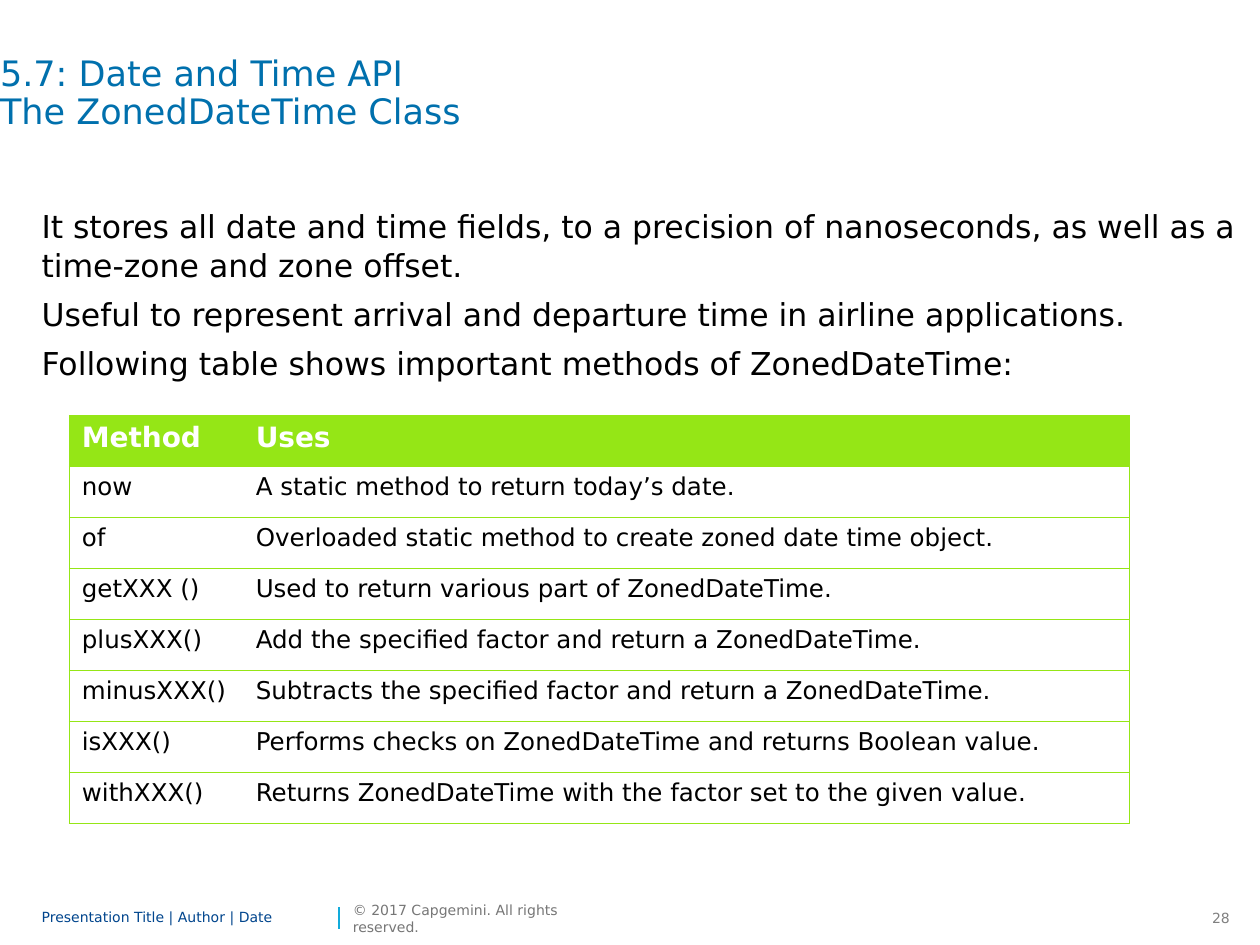
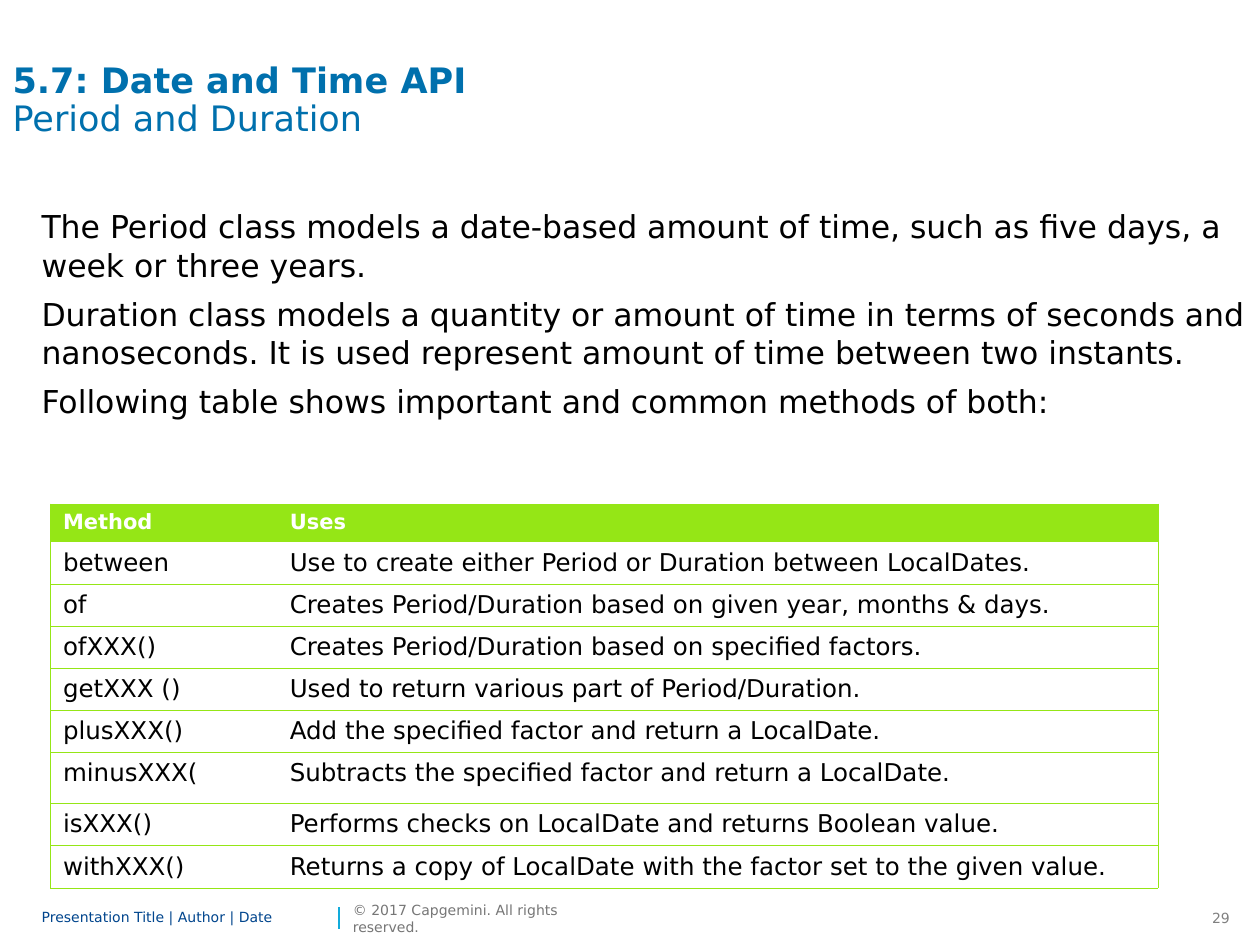
from lxml.etree import SubElement
from pptx import Presentation
from pptx.dml.color import RGBColor
from pptx.enum.shapes import MSO_CONNECTOR
from pptx.enum.text import MSO_ANCHOR, MSO_AUTO_SIZE, PP_ALIGN
from pptx.oxml.ns import qn
from pptx.util import Inches, Pt

# Content
FOOTER = "Presentation Title | Author | Date"
COPYRIGHT = "© 2017 Capgemini. All rights reserved."
FIRST_NUMBER = 28
HEADINGS = ("Method", "Uses")

SLIDES = [
    {
        "title": "5.7: Date and Time API\nThe ZonedDateTime Class",
        "title_bold": (False, False),
        "title_margins": (0, 0),
        "points": [
            "It stores all date and time fields, to a precision of nanoseconds, as well as a time-zone and zone offset.",
            "Useful to represent arrival and departure time in airline applications.",
            "Following table shows important methods of ZonedDateTime:",
        ],
        "methods": [
            ("now", "A static method to return today’s date."),
            ("of", "Overloaded static method to create zoned date time object."),
            ("getXXX ()", "Used to return various part of ZonedDateTime."),
            ("plusXXX()", "Add the specified factor and return a ZonedDateTime."),
            ("minusXXX()", "Subtracts the specified factor and return a ZonedDateTime."),
            ("isXXX()", "Performs checks on ZonedDateTime and returns Boolean value."),
            ("withXXX()", "Returns ZonedDateTime with the factor set to the given value."),
        ],
        "table_at": (0.55, 3.3),
        "columns": (1.38, 7.03),
        "row_heights": [3.24 / 8] * 8,
        "heading_size": 16,
    },
    {
        "title": "5.7: Date and Time API\nPeriod and Duration",
        "title_bold": (True, False),
        "title_margins": (0.1, 0.05),
        "points": [
            "The Period class models a date-based amount of time, such as five days, a week or three years.",
            "Duration class models a quantity or amount of time in terms of seconds and nanoseconds. "
            "It is used represent amount of time between two instants.",
            "Following table shows important and common methods of both:",
        ],
        "methods": [
            ("between", "Use to create either Period or Duration between LocalDates."),
            ("of", "Creates Period/Duration based on given year, months & days."),
            ("ofXXX()", "Creates Period/Duration based on specified factors."),
            ("getXXX ()", "Used to return various part of Period/Duration."),
            ("plusXXX()", "Add the specified factor and return a LocalDate."),
            ("minusXXX(", "Subtracts the specified factor and return a LocalDate."),
            ("isXXX()", "Performs checks on LocalDate and returns Boolean value."),
            ("withXXX()", "Returns a copy of LocalDate with the factor set to the given value."),
        ],
        "table_at": (0.4, 4),
        "columns": (1.8, 6.99),
        "row_heights": [0.29] + [0.33] * 5 + [0.41] + [0.33] * 2,
        "heading_size": 12,
    },
]

# Shared style
FONT = "DejaVu Sans"
TITLE_BLUE = RGBColor(0x00, 0x70, 0xAD)
FOOTER_BLUE = RGBColor(0x00, 0x45, 0x8D)
RULE_BLUE = RGBColor(0x12, 0xAB, 0xDB)
NUMBER_GREY = RGBColor(0x80, 0x80, 0x80)
COPYRIGHT_GREY = RGBColor(0x76, 0x76, 0x76)
GREEN = RGBColor(0x95, 0xE6, 0x16)
BLACK = RGBColor(0, 0, 0)
WHITE = RGBColor(0xFF, 0xFF, 0xFF)
FOOTER_TOP, FOOTER_HEIGHT = 7.17, 0.24


def write(frame, *paragraphs, size, color, bold=(False,), align=PP_ALIGN.LEFT,
          spacing=None, after=0, anchor=MSO_ANCHOR.TOP, margins=(0.1, 0.05), wrap=True):
    """Fill a frame; bold holds one flag for each line of a paragraph."""
    frame.word_wrap = wrap
    frame.vertical_anchor = anchor
    frame.margin_left = frame.margin_right = Inches(margins[0])
    frame.margin_top = frame.margin_bottom = Inches(margins[1])
    for index, text in enumerate(paragraphs):
        paragraph = frame.add_paragraph() if index else frame.paragraphs[0]
        paragraph.alignment = align
        paragraph.line_spacing = spacing
        paragraph.space_before, paragraph.space_after = Pt(0), Pt(after)
        for number, (line, strong) in enumerate(zip(text.split("\n"), bold)):
            if number:
                paragraph.add_line_break()
            run = paragraph.add_run()
            run.text = line
            run.font.name, run.font.size = FONT, Pt(size)
            run.font.bold, run.font.color.rgb = strong, color


def add_text(slide, box, *paragraphs, **style):
    write(slide.shapes.add_textbox(*map(Inches, box)).text_frame, *paragraphs, **style)


def add_footer(slide, number):
    add_text(slide, (9.47, FOOTER_TOP, 0.39, FOOTER_HEIGHT), str(number),
             size=8, color=NUMBER_GREY, align=PP_ALIGN.RIGHT, wrap=False)
    divider = slide.shapes.add_connector(
        MSO_CONNECTOR.STRAIGHT, Inches(2.69), Inches(7.37), Inches(2.69), Inches(7.2))
    divider.line.color.rgb, divider.line.width = RULE_BLUE, Pt(1)
    SubElement(divider.line._get_or_add_ln().getparent(), qn("a:effectLst"))
    add_text(slide, (0.33, FOOTER_TOP, 2.32, FOOTER_HEIGHT), FOOTER, size=8,
             color=FOOTER_BLUE, spacing=0.85, anchor=MSO_ANCHOR.MIDDLE, margins=(0, 0))
    add_text(slide, (2.8, FOOTER_TOP, 1.82, FOOTER_HEIGHT), COPYRIGHT, size=8,
             color=COPYRIGHT_GREY, anchor=MSO_ANCHOR.MIDDLE, margins=(0, 0), wrap=False)


def set_borders(cell, drawn):
    """Draw the sides named in drawn and clear the others."""
    properties = cell._tc.get_or_add_tcPr()
    for position, side in enumerate("LRTB"):
        line = properties.makeelement(qn(f"a:ln{side}"), {"w": str(Pt(0.5))})
        properties.insert(position, line)
        if side in drawn:
            fill = SubElement(line, qn("a:solidFill"))
            SubElement(fill, qn("a:srgbClr"), val=str(GREEN))
        else:
            SubElement(line, qn("a:noFill"))


def add_methods(slide, content):
    rows = [HEADINGS, *content["methods"]]
    columns, heights = content["columns"], content["row_heights"]
    box = (*content["table_at"], sum(columns), sum(heights))
    methods = slide.shapes.add_table(len(rows), len(columns), *map(Inches, box)).table
    methods.horz_banding = False
    for column, width in zip(methods.columns, columns):
        column.width = Inches(width)
    for row_number, (row, height) in enumerate(zip(rows, heights)):
        methods.rows[row_number].height = Inches(height)
        heading = row_number == 0
        for column_number, text in enumerate(row):
            cell = methods.cell(row_number, column_number)
            write(cell.text_frame, text, bold=(heading,),
                  size=content["heading_size"] if heading else 14,
                  color=WHITE if heading else BLACK)
            cell.fill.solid()
            cell.fill.fore_color.rgb = GREEN if heading else WHITE
            set_borders(cell, "LTB" if column_number == 0 else "RTB")


def build_slide(deck, content, number):
    slide = deck.slides.add_slide(deck.slide_layouts[5])
    add_footer(slide, number)

    # Title
    title = slide.shapes.title
    title.left, title.top, title.width, title.height = map(Inches, (0, 0.45, 9.33, 0.94))
    title.text_frame.auto_size = MSO_AUTO_SIZE.NONE
    write(title.text_frame, content["title"], size=20, color=TITLE_BLUE, spacing=0.9,
          bold=content["title_bold"], margins=content["title_margins"])

    # Points and table
    add_text(slide, (0.33, 1.64, 9.67, 5.08), *content["points"], size=18, color=BLACK,
             spacing=Pt(22), after=6, margins=(0, 0))
    add_methods(slide, content)


def main():
    deck = Presentation()
    deck.slide_width, deck.slide_height = Inches(10), Inches(7.5)
    for number, content in enumerate(SLIDES, FIRST_NUMBER):
        build_slide(deck, content, number)
    deck.save("out.pptx")


if __name__ == "__main__":
    main()
